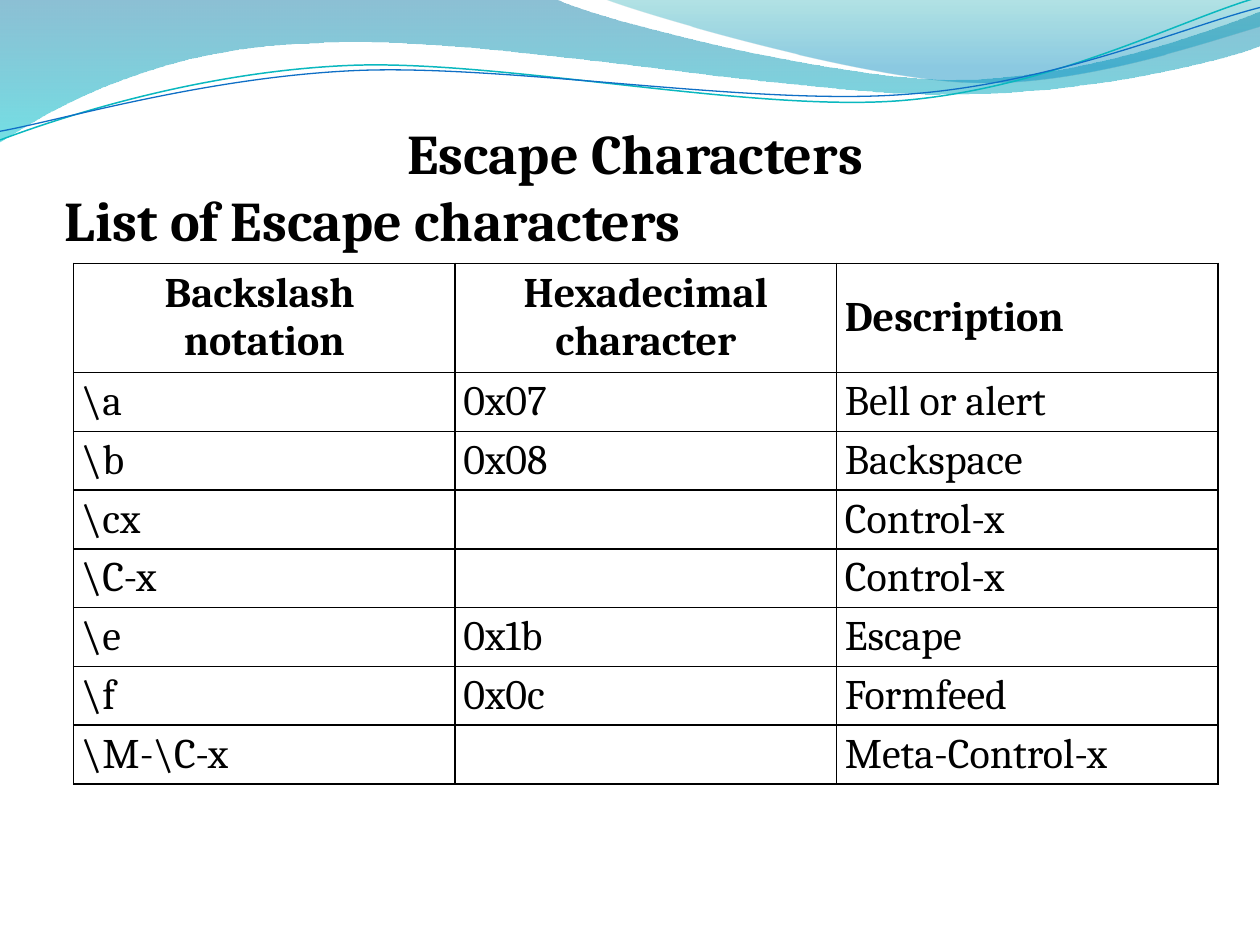
import dataclasses
import math
import typing

import lxml.etree
import pptx
import pptx.dml.color
import pptx.enum.text
import pptx.oxml.ns
import pptx.util

Pt = pptx.util.Pt
qn = pptx.oxml.ns.qn
ALIGN = pptx.enum.text.PP_ALIGN
ANCHOR = pptx.enum.text.MSO_ANCHOR
FONT = "Cambria"
PIVOT = (359.5, 42)
COLORS = {
    "text": "000000",
    "border": "000000",
    "wave top": "0074A1",
    "wave bottom": "00C6CF",
    "crest top": "00A1A9",
    "crest bottom": "008BBF",
    "teal line": "0AB8BF",
    "blue line": "0F6FC6",
}
Point = tuple[float, float]


class Stop(typing.NamedTuple):
    position: float
    color: str
    opacity: int


@dataclasses.dataclass
class Wave:
    """Each step is one point (straight) or three points (Bezier curve)."""
    start: Point
    steps: list[tuple[Point, ...]]
    stops: tuple[Stop, ...] = ()
    line_color: str = ""
    line_width: float = 0
    tilt: float = 0


WAVES = [
    Wave((0, 0), [
        ((317, -0.7),),
        ((343, 12), (478, 45.4), (546, 45.4)),
        ((614, 45.4), (690, 18.7), (720, 6.5)),
        ((720.7, 26),),
        ((708, 31.7), (626, 54.7), (537, 54)),
        ((448, 54), (275, 20), (185, 24.5)),
        ((93, 26), (33, 60), (-0.7, 81.4)),
    ], stops=(Stop(0, "wave top", 45), Stop(1, "wave bottom", 55))),
    Wave((345, -0.7), [
        ((366.5, 8), (491, 44.6), (553.7, 46.8)),
        ((616.3, 49.7), (692, 23), (720, 15)),
        ((720, 0),),
    ], stops=(Stop(0, "crest top", 30), Stop(0.8, "crest bottom", 45))),
    Wave((0, 80), [
        ((34.6, 67), (113.8, 41), (199.4, 37.4)),
        ((284.4, 33.8), (427, 64), (513.4, 57.6)),
        ((599.8, 51), (675.4, 10.8), (718.6, -1.4)),
    ], line_color="teal line", line_width=0.85, tilt=-2.7),
    Wave((0, 75), [
        ((33.8, 69), (118, 44), (203.8, 40.3)),
        ((290, 36.7), (429.8, 60.5), (516.2, 54)),
        ((602, 48.2), (677.5, 15), (720, 4.3)),
    ], line_color="blue line", line_width=0.75, tilt=-2.7),
]

HEADER = ["Backslash \nnotation", "Hexadecimal character", "Description"]
ESCAPES = [
    ["\\a", "0x07", "Bell or alert"],
    ["\\b", "0x08", "Backspace"],
    ["\\cx", "", "Control-x"],
    ["\\C-x", "", "Control-x"],
    ["\\e", "0x1b", "Escape"],
    ["\\f", "0x0c", "Formfeed"],
    ["\\M-\\C-x", "", "Meta-Control-x"],
]


def rgb(name: str) -> pptx.dml.color.RGBColor:
    return pptx.dml.color.RGBColor.from_string(COLORS[name])


def write_text(para, text: str, *, size: float, bold: bool = False, align=ALIGN.LEFT) -> None:
    para.alignment = align
    span = para.add_run()
    span.text = text
    span.font.name = FONT
    span.font.size = Pt(size)
    span.font.bold = bold
    span.font.color.rgb = rgb("text")


def level(point: Point, tilt: float) -> Point:
    """Place a point as it lies before the shape is tilted, in EMU."""
    angle = math.radians(-tilt)
    dx, dy = point[0] - PIVOT[0], point[1] - PIVOT[1]
    return (Pt(PIVOT[0] + dx * math.cos(angle) - dy * math.sin(angle)),
            Pt(PIVOT[1] + dx * math.sin(angle) + dy * math.cos(angle)))


def bend_segments(shape, steps: list[list[Point]]) -> None:
    """Turn the straight segments that have control points into Bezier curves."""
    segments = list(shape.element.spPr.iter(qn("a:lnTo")))
    for segment, points in zip(segments, steps):
        if len(points) == 1:
            continue
        curve = lxml.etree.Element(qn("a:cubicBezTo"))
        for x, y in points:
            lxml.etree.SubElement(curve, qn("a:pt"),
                                  x=str(x - shape.left), y=str(y - shape.top))
        segment.getparent().replace(segment, curve)


def draw_wave(page, wave: Wave) -> None:
    steps = [[level(point, wave.tilt) for point in step] for step in wave.steps]
    builder = page.shapes.build_freeform(*level(wave.start, wave.tilt))
    builder.add_line_segments([step[-1] for step in steps], close=bool(wave.stops))
    shape = builder.convert_to_shape()
    bend_segments(shape, steps)
    shape.rotation = wave.tilt
    shape.shadow.inherit = False
    if not wave.stops:
        shape.fill.background()
        shape.line.color.rgb = rgb(wave.line_color)
        shape.line.width = Pt(wave.line_width)
        return
    shape.line.fill.background()
    shape.fill.gradient()
    shape.fill.gradient_angle = 270
    for target, stop in zip(shape.fill.gradient_stops, wave.stops):
        target.position = stop.position
        target.color.rgb = rgb(stop.color)
    for color, stop in zip(shape.element.spPr.iter(qn("a:srgbClr")), wave.stops):
        lxml.etree.SubElement(color, qn("a:alpha"), val=str(stop.opacity * 1000))


def format_cell(cell) -> None:
    properties = cell._tc.get_or_add_tcPr()
    for side in ("a:lnL", "a:lnR", "a:lnT", "a:lnB"):
        line = lxml.etree.SubElement(properties, qn(side), w=str(Pt(1)))
        fill = lxml.etree.SubElement(line, qn("a:solidFill"))
        lxml.etree.SubElement(fill, qn("a:srgbClr"), val=COLORS["border"])
    cell.fill.background()
    cell.vertical_anchor = ANCHOR.MIDDLE
    cell.margin_left = cell.margin_right = Pt(4.8)
    cell.margin_top = cell.margin_bottom = Pt(2.4)


def draw_table(page) -> None:
    rows = [HEADER, *ESCAPES]
    heights = [62.3] + [33.6] * len(ESCAPES)
    frame = page.shapes.add_table(len(rows), len(HEADER), Pt(42), Pt(150.5),
                                  Pt(654), Pt(sum(heights)))
    table = frame.table
    table.first_row = table.horz_banding = False
    for column in table.columns:
        column.width = Pt(218)
    for row_index, texts in enumerate(rows):
        table.rows[row_index].height = Pt(heights[row_index])
        is_header = row_index == 0
        for column_index, text in enumerate(texts):
            cell = table.cell(row_index, column_index)
            format_cell(cell)
            centred = is_header and column_index < 2
            for index, part in enumerate(text.split("\n") if text else []):
                body = cell.text_frame
                para = body.add_paragraph() if index else body.paragraphs[0]
                write_text(para, part, size=24, bold=is_header,
                           align=ALIGN.CENTER if centred else ALIGN.LEFT)


def main() -> None:
    deck = pptx.Presentation()
    deck.slide_width, deck.slide_height = Pt(720), Pt(540)
    page = deck.slides.add_slide(deck.slide_layouts[6])

    # Wave decoration along the top
    for wave in WAVES:
        draw_wave(page, wave)

    # Title and subtitle
    box = page.shapes.add_textbox(Pt(30), Pt(64), Pt(666), Pt(85))
    box.text_frame.word_wrap = True
    write_text(box.text_frame.paragraphs[0], "Escape Characters",
               size=32, bold=True, align=ALIGN.CENTER)
    write_text(box.text_frame.add_paragraph(), "List of Escape characters",
               size=32, bold=True)

    # Escape character table
    draw_table(page)

    deck.save("out.pptx")


if __name__ == "__main__":
    main()
